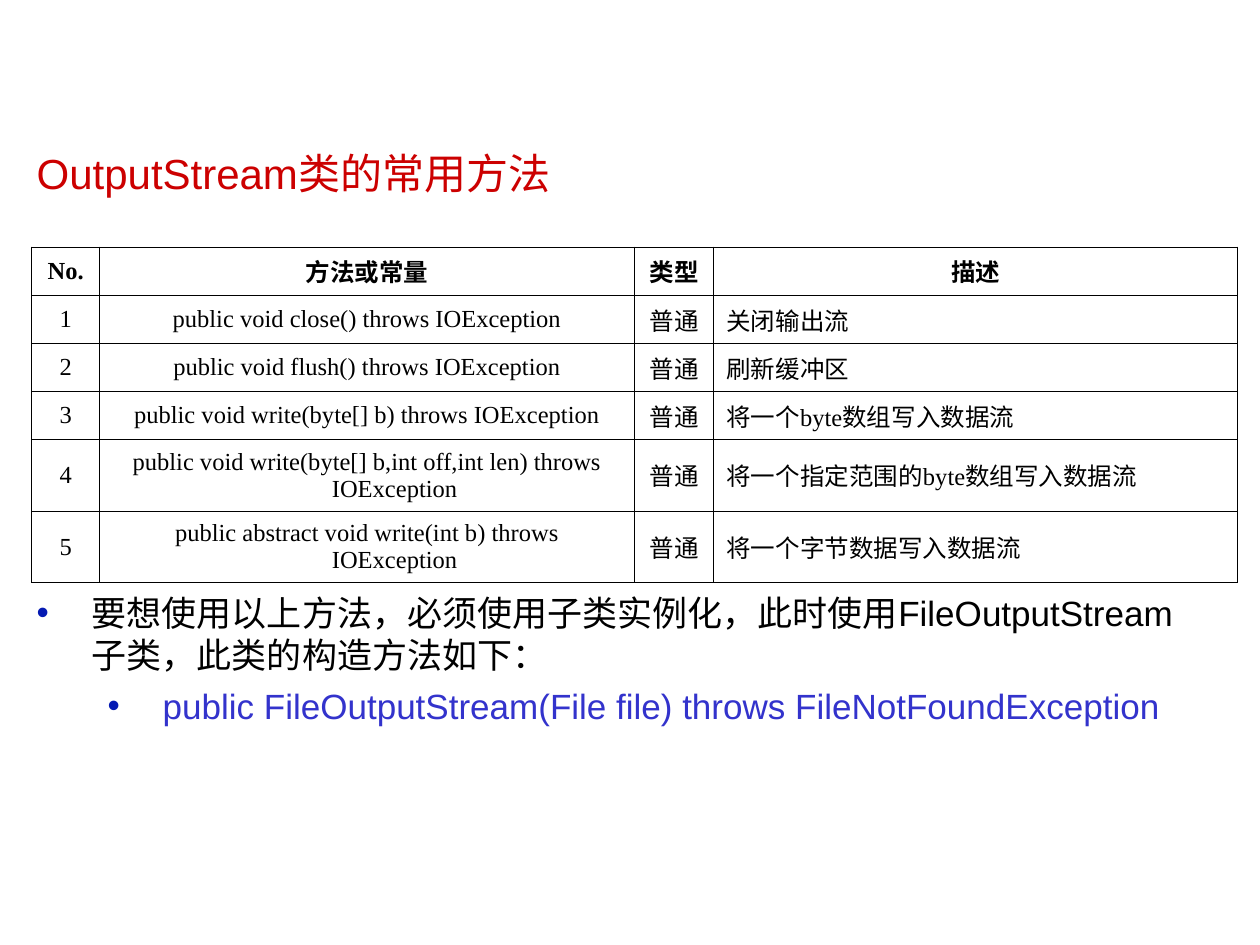
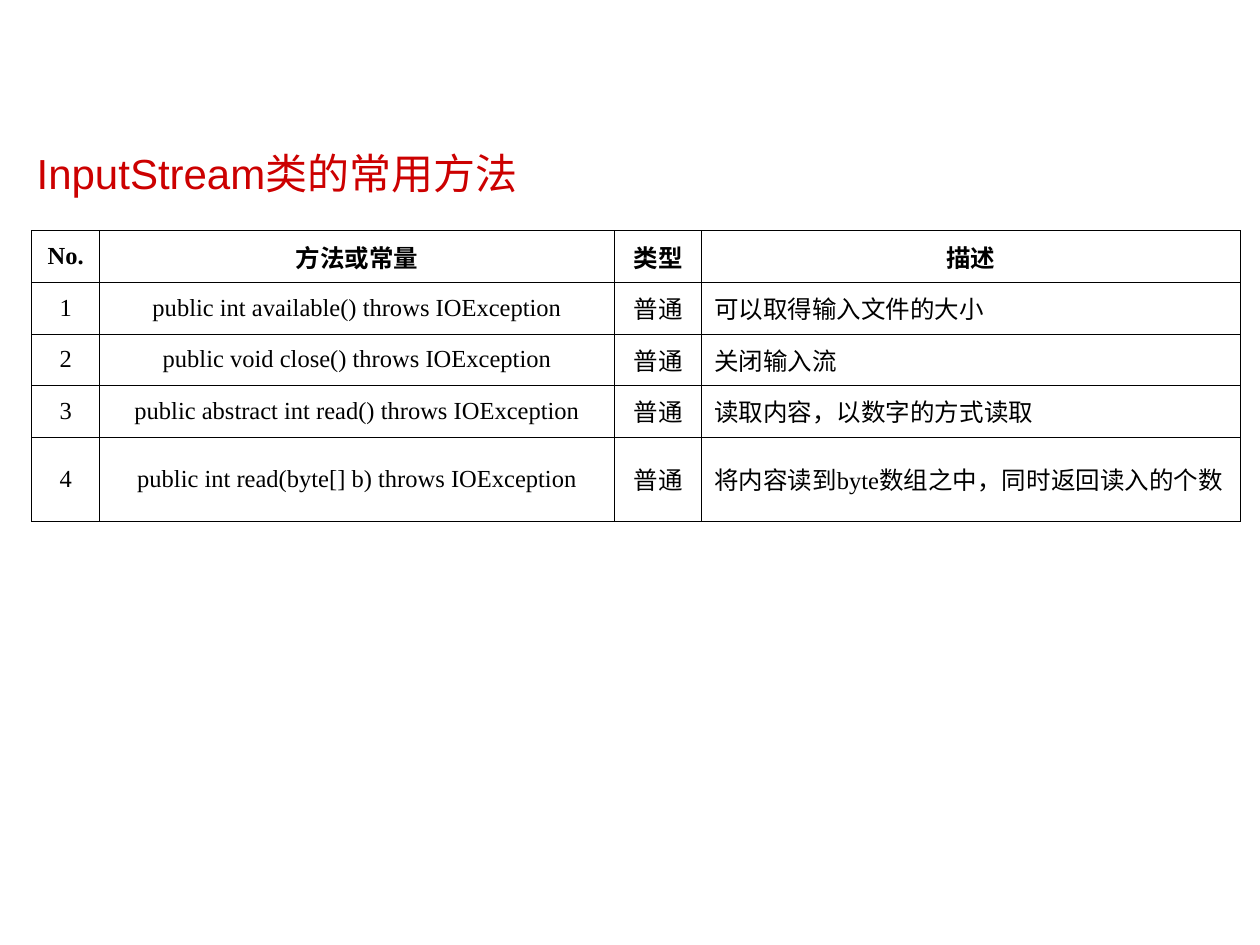
from lxml import etree
from pptx import Presentation
from pptx.dml.color import RGBColor
from pptx.enum.shapes import MSO_CONNECTOR
from pptx.enum.text import MSO_ANCHOR, PP_ALIGN
from pptx.oxml import parse_xml
from pptx.oxml.ns import nsdecls, qn
from pptx.util import Cm, Pt

STRAIGHT = MSO_CONNECTOR.STRAIGHT
MIDDLE = MSO_ANCHOR.MIDDLE
CENTER, LEFT = PP_ALIGN.CENTER, PP_ALIGN.LEFT

BLACK, WHITE = "000000", "FFFFFF"
TITLE_RED, CODE_BLUE, BULLET_BLUE = "CC0000", "3333CC", "051AB3"
TEXT_FONT, TABLE_FONT = "Arial", "Times New Roman"
TEXT_LEFT, TEXT_WIDTH = Cm(0.49), Cm(24.31)
TABLE_LEFT = Cm(0.64)
HANGING = Cm(1.11)
BORDER_WIDTH = Pt(0.45)
HEADERS = ["No.", "方法或常量", "类型", "描述"]

TABLE_SLIDES = [
    {
        "title": "OutputStream类的常用方法",
        "top": 4.98,
        "columns": [1.37, 10.78, 1.6, 10.56],
        "rows": [0.97] * 4 + [1.44] * 2,
        "methods": [
            ("public void close() throws IOException", "关闭输出流"),
            ("public void flush() throws IOException", "刷新缓冲区"),
            ("public void write(byte[] b) throws IOException", "将一个byte数组写入数据流"),
            ("public void write(byte[] b,int off,int len) throws IOException",
             "将一个指定范围的byte数组写入数据流"),
            ("public abstract void write(int b) throws IOException", "将一个字节数据写入数据流"),
        ],
        "bullets": [
            ("要想使用以上方法，必须使用子类实例化，此时使用FileOutputStream子类，此类的构造方法如下：",
             BLACK, HANGING, Pt(24)),
            ("public FileOutputStream(File file) throws FileNotFoundException",
             CODE_BLUE, Cm(2.54), None),
        ],
    },
    {
        "title": "InputStream类的常用方法",
        "top": 4.65,
        "columns": [1.37, 10.38, 1.75, 10.86],
        "rows": [1.04] * 4 + [1.69],
        "methods": [
            ("public int available() throws IOException", "可以取得输入文件的大小"),
            ("public void close() throws IOException", "关闭输入流"),
            ("public abstract int read() throws IOException", "读取内容，以数字的方式读取"),
            ("public int read(byte[] b) throws IOException",
             "将内容读到byte数组之中，同时返回读入的个数"),
        ],
        "bullets": [],
    },
]


def format_runs(paragraph, font, size, color, bold=False):
    for run in paragraph.runs:
        run.font.name = font
        run.font.size = Pt(size)
        run.font.bold = bold
        run.font.color.rgb = RGBColor.from_string(color)


def hang(paragraph, margin):
    """Indent the paragraph by margin, with its first line hanging out."""
    properties = paragraph._p.get_or_add_pPr()
    properties.set("marL", str(margin))
    properties.set("indent", str(-HANGING))
    return properties


presentation = Presentation()
presentation.slide_width = Cm(25.4)
presentation.slide_height = Cm(19.05)

for content in TABLE_SLIDES:
    slide = presentation.slides.add_slide(presentation.slide_layouts[6])

    footer_rule = slide.shapes.add_connector(STRAIGHT, Cm(2.36), Cm(18.01), Cm(2.36), Cm(18.54))
    footer_rule.line.color.rgb = RGBColor.from_string(WHITE)
    footer_rule.line.width = Pt(0.75)
    etree.SubElement(footer_rule._element.spPr, qn("a:effectLst"))

    title_frame = slide.shapes.add_textbox(TEXT_LEFT, Cm(2.45), TEXT_WIDTH, Cm(2.18)).text_frame
    title_frame.word_wrap = True
    title_frame.vertical_anchor = MIDDLE
    title_frame.text = content["title"]
    title_frame.paragraphs[0].line_spacing = 0.9
    format_runs(title_frame.paragraphs[0], TEXT_FONT, 24, TITLE_RED)

    rows = [HEADERS]
    for number, (method, description) in enumerate(content["methods"], start=1):
        rows.append([str(number), method, "普通", description])

    table = slide.shapes.add_table(
        len(rows), len(HEADERS), TABLE_LEFT, Cm(content["top"]),
        Cm(sum(content["columns"])), Cm(sum(content["rows"]))).table
    table.first_row = False
    table.horz_banding = False
    for column, width in zip(table.columns, content["columns"]):
        column.width = Cm(width)

    for row_index, texts in enumerate(rows):
        table.rows[row_index].height = Cm(content["rows"][row_index])
        is_header = row_index == 0
        for column_index, text in enumerate(texts):
            cell = table.cell(row_index, column_index)
            cell.text = text
            cell.vertical_anchor = MIDDLE
            paragraph = cell.text_frame.paragraphs[0]
            is_description = column_index == 3 and not is_header
            paragraph.alignment = LEFT if is_description else CENTER
            hang(paragraph, HANGING)
            format_runs(paragraph, TABLE_FONT, 14, BLACK, bold=is_header)
            cell_properties = cell._tc.get_or_add_tcPr()
            for side in ("lnL", "lnR", "lnT", "lnB"):
                cell_properties.append(parse_xml(
                    f'<a:{side} {nsdecls("a")} w="{BORDER_WIDTH}"><a:solidFill>'
                    f'<a:srgbClr val="{BLACK}"/></a:solidFill></a:{side}>'))
            cell.fill.background()

    if content["bullets"]:
        body_frame = slide.shapes.add_textbox(TEXT_LEFT, Cm(11.8), Cm(24), Cm(5.24)).text_frame
        body_frame.word_wrap = True
        body_frame.text = "\n".join(bullet[0] for bullet in content["bullets"])
        for level, (paragraph, bullet) in enumerate(zip(body_frame.paragraphs, content["bullets"])):
            text, color, margin, line_spacing = bullet
            paragraph.level = level
            paragraph.space_after = Pt(5)
            paragraph.line_spacing = line_spacing
            format_runs(paragraph, TEXT_FONT, 20, color)
            properties = hang(paragraph, margin)
            bullet_color = etree.SubElement(properties, qn("a:buClr"))
            etree.SubElement(bullet_color, qn("a:srgbClr"), val=BULLET_BLUE)
            etree.SubElement(properties, qn("a:buFont"), typeface=TEXT_FONT)
            etree.SubElement(properties, qn("a:buChar"), char="•")

presentation.save("out.pptx")
